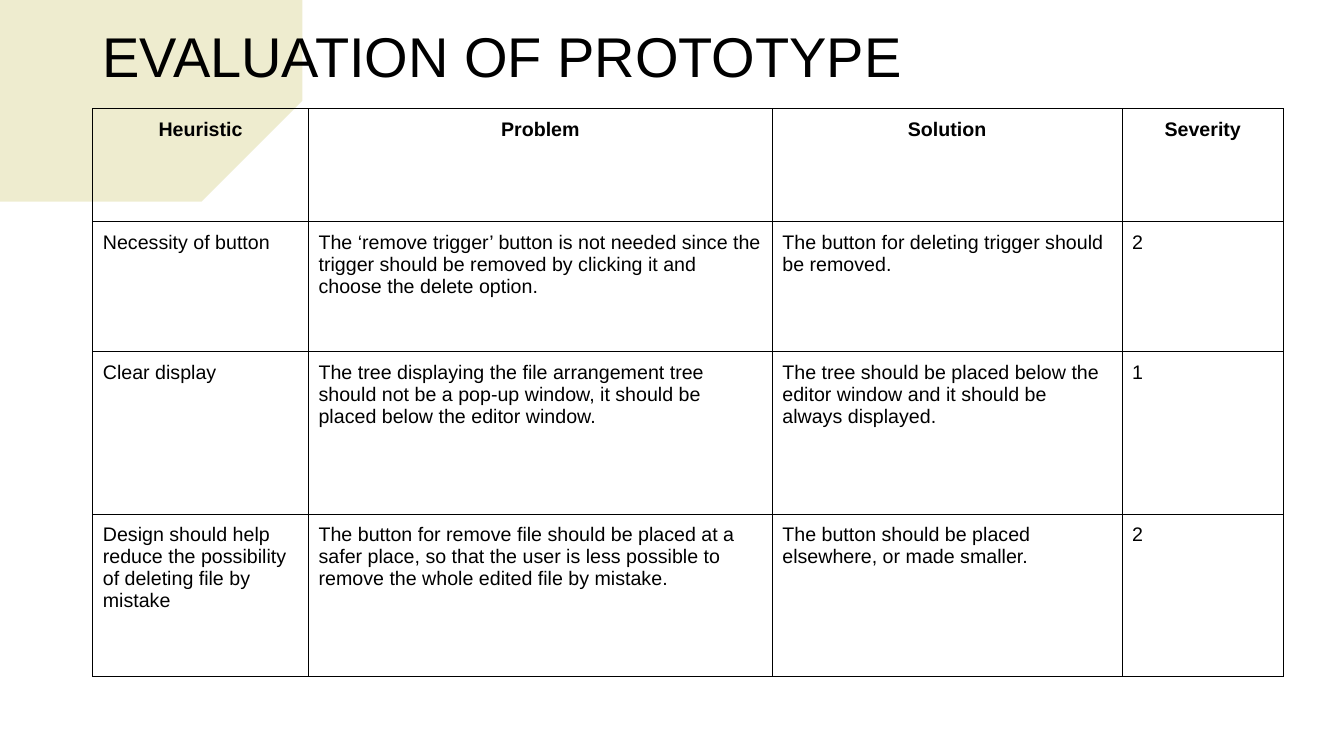
import lxml.etree as etree
import pptx
import pptx.util
import pptx.dml.color
import pptx.enum.text
import pptx.oxml.ns

Inches, Pt = pptx.util.Inches, pptx.util.Pt
ALIGN, ANCHOR = pptx.enum.text.PP_ALIGN, pptx.enum.text.MSO_ANCHOR
qn = pptx.oxml.ns.qn
COLORS = {"text": "000000", "border": "000000", "brush": "ADA313"}

BRUSH = [
    (0, 0.34), (0.06, 0.35), (0.25, 0.37), (0.66, 0.38), (1.02, 0.37),
    (1.51, 0.38), (1.94, 0.41), (2.48, 0.41), (2.66, 0.41), (2.8, 0.47),
    (2.71, 0.49), (2.55, 0.54), (2.53, 0.57), (2.56, 0.59), (2.62, 0.62),
    (2.48, 0.62), (2.38, 0.66), (2.46, 0.68), (2.56, 0.7), (2.66, 0.71),
    (2.75, 0.74), (2.51, 0.75), (2.63, 0.78), (2.73, 0.81), (2.8, 0.82),
    (2.88, 0.83), (2.9, 0.85), (2.87, 0.88), (2.84, 0.88), (2.63, 0.88),
    (2.96, 0.92), (3.3, 0.94), (3.21, 0.97), (3.22, 1.03), (3.18, 1.06),
    (3.11, 1.07), (3.07, 1.11), (3, 1.13), (2.83, 1.16), (2.8, 1.2),
    (2.78, 1.25), (2.74, 1.28), (3.08, 1.28), (2.69, 1.38), (2.73, 1.42),
    (2.52, 1.48), (2.63, 1.48), (2.48, 1.56), (1.97, 1.72), (1.55, 1.8),
    (1.02, 1.88), (0.65, 1.91), (0.23, 1.9), (0.07, 1.89), (0, 1.88),
]
COLUMNS = [2.14, 4.6, 3.47, 1.6]
ROWS = [1.12, 1.29, 1.61, 1.61]
FINDINGS = [
    ["Heuristic", "Problem", "Solution", "Severity"],
    ["Necessity of button",
     "The ‘remove trigger’ button is not needed since the trigger should be "
     "removed by clicking it and choose the delete option.",
     "The button for deleting trigger should be removed.", "2"],
    ["Clear display",
     "The tree displaying the file arrangement tree should not be a pop-up "
     "window, it should be placed below the editor window.",
     "The tree should be placed below the editor window and it should be "
     "always displayed.", "1"],
    ["Design should help reduce the possibility of deleting file by mistake",
     "The button for remove file should be placed at a safer place, so that "
     "the user is less possible to remove the whole edited file by mistake.",
     "The button should be placed elsewhere, or made smaller.", "2"],
]


def rgb(name):
    return pptx.dml.color.RGBColor.from_string(COLORS[name])


def apply(obj, values):
    for name, value in values.items():
        setattr(obj, name, value)


class SlideMaker:
    font = "Arial"
    border_width = 0.75

    def __init__(self, slide):
        self.s = slide

    def add_text(self, tf, text, size, bold=False, **paragraph):
        p = tf.paragraphs[0]
        apply(p, paragraph)
        r = p.add_run()
        r.text = text
        apply(r.font, {"name": self.font, "size": Pt(size), "bold": bold})
        r.font.color.rgb = rgb("text")

    def title(self, text, left, top, width, height):
        sp = self.s.shapes.add_textbox(*map(Inches, (left, top, width, height)))
        apply(sp.text_frame, {"word_wrap": True,
                              "vertical_anchor": ANCHOR.MIDDLE})
        self.add_text(sp.text_frame, text, 40, line_spacing=0.9)

    def brush(self, points, color, opacity):
        builder = self.s.shapes.build_freeform(*points[0], scale=Inches(1))
        builder.add_line_segments(points[1:], close=True)
        sp = builder.convert_to_shape()
        sp.shadow.inherit = False
        sp.line.fill.background()
        sp.fill.solid()
        sp.fill.fore_color.rgb = rgb(color)
        srgb = sp._element.spPr.find(".//" + qn("a:srgbClr"))
        etree.SubElement(srgb, qn("a:alpha"), val=str(opacity * 1000))

    def borders(self, cell):
        tc_pr = cell._tc.get_or_add_tcPr()
        for side in ("lnL", "lnR", "lnT", "lnB"):
            ln = etree.SubElement(tc_pr, qn("a:" + side),
                                  w=str(Pt(self.border_width)))
            fill = etree.SubElement(ln, qn("a:solidFill"))
            etree.SubElement(fill, qn("a:srgbClr"), val=COLORS["border"])

    def table(self, rows, left, top, widths, heights):
        frame = self.s.shapes.add_table(
            len(rows), len(widths), Inches(left), Inches(top),
            Inches(sum(widths)), Inches(sum(heights)))
        table = frame.table
        apply(table, {"first_row": False, "horz_banding": False})
        for column, width in zip(table.columns, widths):
            column.width = Inches(width)
        margins = {"margin_" + side: Inches(0.1)
                   for side in ("left", "right", "top", "bottom")}
        for i, (row, height) in enumerate(zip(rows, heights)):
            table.rows[i].height = Inches(height)
            for j, text in enumerate(row):
                cell = table.cell(i, j)
                apply(cell, margins)
                self.borders(cell)
                cell.fill.background()
                self.add_text(cell.text_frame, text, 14, bold=i == 0,
                              alignment=ALIGN.LEFT if i else ALIGN.CENTER)


def main():
    prs = pptx.Presentation()
    apply(prs, {"slide_width": Inches(13.33), "slide_height": Inches(7.5)})
    maker = SlideMaker(prs.slides.add_slide(prs.slide_layouts[6]))

    # Brush stroke behind the heading
    maker.brush(BRUSH, "brush", 20)

    # Heading
    maker.title("EVALUATION OF PROTOTYPE", 0.92, 0.23, 11.5, 0.72)

    # Table of findings
    maker.table(FINDINGS, 0.92, 1.08, COLUMNS, ROWS)

    prs.save("out.pptx")


if __name__ == "__main__":
    main()
